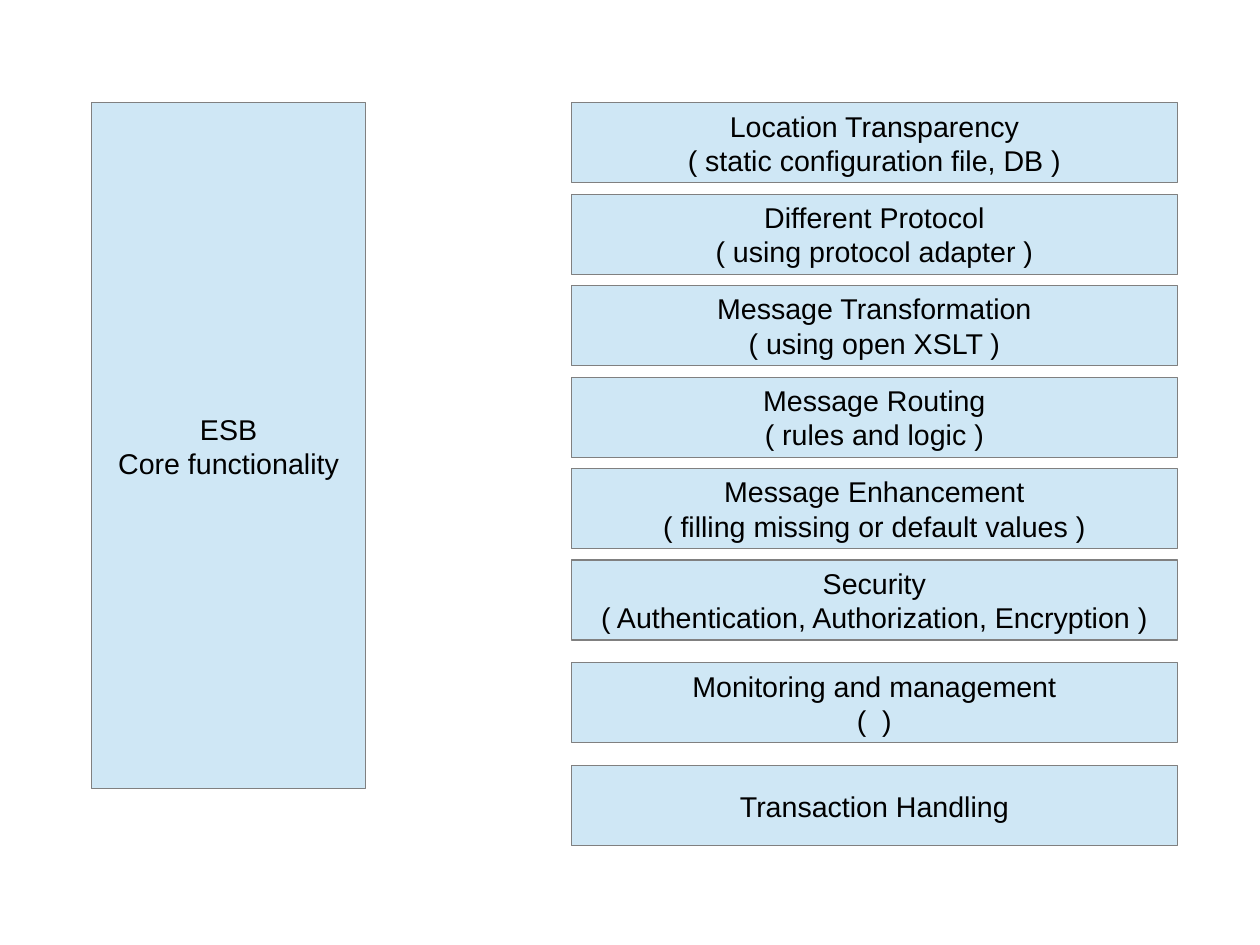
from dataclasses import dataclass

from pptx import Presentation, util as u
from pptx.dml import color
from pptx.enum import shapes, text
from pptx.slide import Slide


@dataclass(frozen=True)
class Theme:
    font: str = "Arial"
    size: float = 18
    ink: str = "000000"
    fill: str = "CFE7F5"
    line: str = "808080"
    line_width: float = 0.75


@dataclass(frozen=True)
class Box:
    left: float
    top: float
    width: float
    height: float
    lines: tuple[str, ...]


THEME = Theme()
MM_PER_INCH = 25.4
SLIDE_WIDTH_MM, SLIDE_HEIGHT_MM = 280, 210
TOP = 0.9
FEATURE_LEFT, FEATURE_WIDTH, FEATURE_HEIGHT = 5, 5.3, 0.7
GAP, WIDE_GAP = 0.1, 0.2

CORE = Box(0.8, TOP, 2.4, 6, ("ESB", "Core functionality"))
MESSAGING_FEATURES = (
    ("Location Transparency", "( static configuration file, DB )"),
    ("Different Protocol", "( using protocol adapter )"),
    ("Message Transformation", "( using open XSLT )"),
    ("Message Routing", "( rules and logic )"),
    ("Message Enhancement", "( filling missing or default values )"),
    ("Security", "( Authentication, Authorization, Encryption )"),
)
OPERATION_FEATURES = (
    ("Monitoring and management", "(  )"),
    ("Transaction Handling",),
)


def feature_boxes() -> list[Box]:
    """Stack the features, with wider gaps around the operational ones."""
    boxes = []
    top = TOP
    for features, gap in ((MESSAGING_FEATURES, GAP), (OPERATION_FEATURES, WIDE_GAP)):
        for lines in features:
            if boxes:
                top += FEATURE_HEIGHT + gap
            boxes.append(Box(FEATURE_LEFT, top, FEATURE_WIDTH, FEATURE_HEIGHT, lines))
    return boxes


def set_attributes(target: object, values: dict[str, object]) -> None:
    for name, value in values.items():
        setattr(target, name, value)


def draw_box(s: Slide, box: Box) -> None:
    sp = s.shapes.add_shape(
        shapes.MSO_SHAPE.RECTANGLE,
        *(u.Inches(v) for v in (box.left, box.top, box.width, box.height)),
    )
    sp.shadow.inherit = False
    sp.fill.solid()
    sp.fill.fore_color.rgb = color.RGBColor.from_string(THEME.fill)
    sp.line.color.rgb = color.RGBColor.from_string(THEME.line)
    sp.line.width = u.Pt(THEME.line_width)

    tf = sp.text_frame
    set_attributes(tf, {"word_wrap": False, "vertical_anchor": text.MSO_ANCHOR.MIDDLE})
    tf.text = "\n".join(box.lines)
    for p in tf.paragraphs:
        p.alignment = text.PP_ALIGN.CENTER
        for r in p.runs:
            set_attributes(r.font, {"name": THEME.font, "size": u.Pt(THEME.size)})
            r.font.color.rgb = color.RGBColor.from_string(THEME.ink)


def main() -> None:
    prs = Presentation()
    prs.slide_width = u.Inches(SLIDE_WIDTH_MM / MM_PER_INCH)
    prs.slide_height = u.Inches(SLIDE_HEIGHT_MM / MM_PER_INCH)
    s = prs.slides.add_slide(prs.slide_layouts[6])
    for box in (CORE, *feature_boxes()):
        draw_box(s, box)
    prs.save("out.pptx")


if __name__ == "__main__":
    main()
